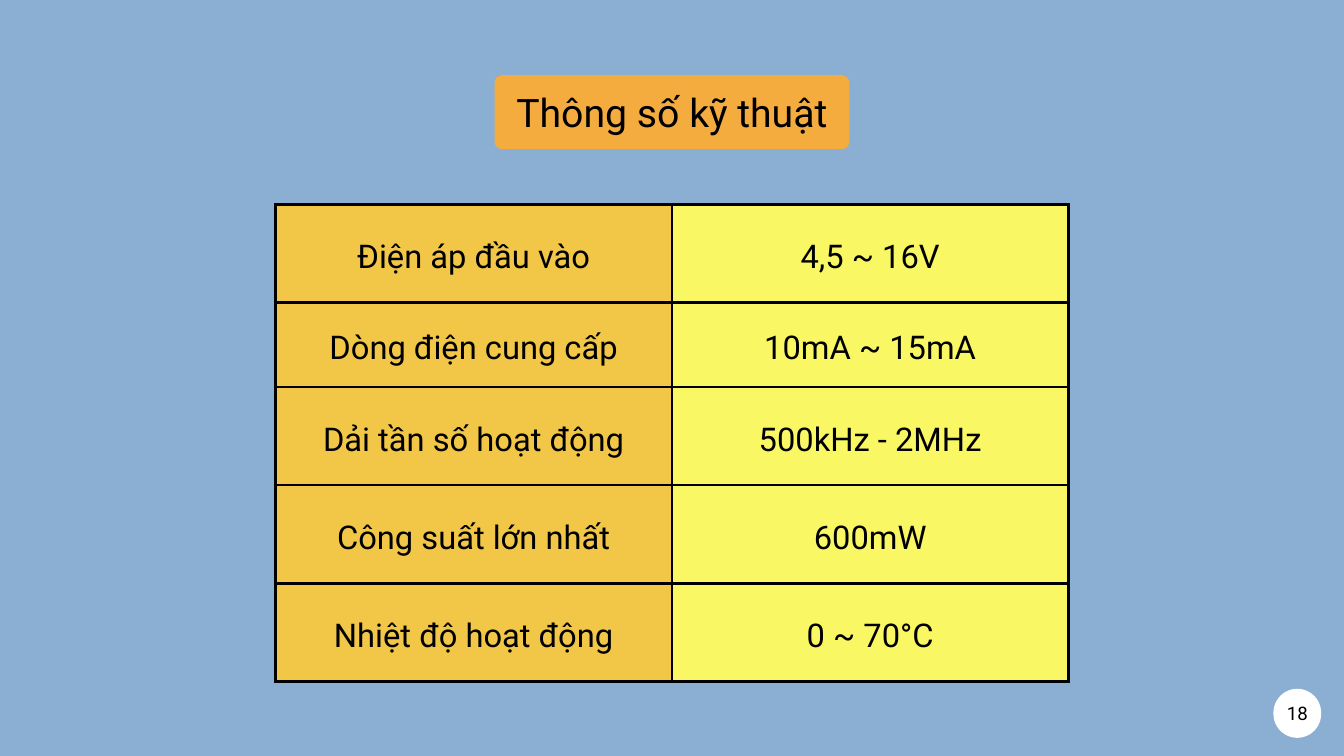
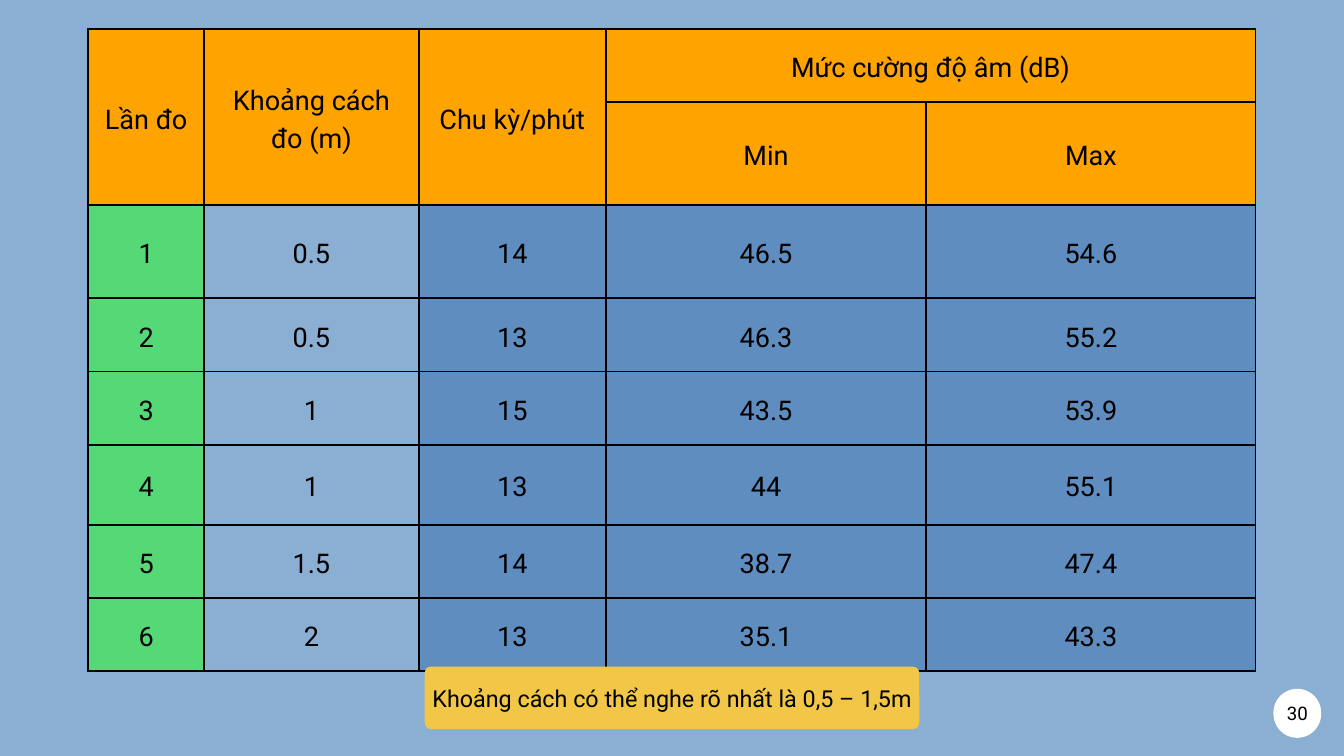
from lxml import etree
from pptx import Presentation, util as u
from pptx.dml.color import RGBColor
from pptx.enum import shapes, text
from pptx.oxml import ns

SKY = RGBColor(0x8B, 0xAE, 0xD3)
BLUE = RGBColor(0x5F, 0x8D, 0xC0)
GREEN = RGBColor(0x55, 0xD8, 0x76)
ORANGE = RGBColor(0xFF, 0xA3, 0x00)
APRICOT = RGBColor(0xF5, 0xAC, 0x3F)
GOLD = RGBColor(0xF2, 0xC7, 0x48)
LEMON = RGBColor(0xFA, 0xF7, 0x65)
WHITE = RGBColor(0xFF, 0xFF, 0xFF)
BLACK = RGBColor(0, 0, 0)
FONT = "Roboto"
WIDTH, HEIGHT = 20, 11.25

SPECIFICATIONS = {
    "rows": [
        ("Điện áp đầu vào", "4,5 ~ 16V"),
        ("Dòng điện cung cấp", "10mA ~ 15mA"),
        ("Dải tần số hoạt động", "500kHz - 2MHz"),
        ("Công suất lớn nhất", "600mW"),
        ("Nhiệt độ hoạt động", "0 ~ 70°C"),
    ],
    "top": 3.04, "widths": [5.9] * 2, "heights": [1.46, 1.26, 1.46, 1.46, 1.46],
    "fills": [GOLD, LEMON], "header_rows": 0, "merges": [],
    "size": 35, "margin": 0.21, "border": 3,
}
MEASUREMENTS = {
    "rows": [
        ("Lần đo", "Khoảng cách đo (m)", "Chu kỳ/phút", "Mức cường độ âm (dB)", ""),
        ("", "", "", "Min", "Max"),
        ("1", "0.5", "14", "46.5", "54.6"),
        ("2", "0.5", "13", "46.3", "55.2"),
        ("3", "1", "15", "43.5", "53.9"),
        ("4", "1", "13", "44", "55.1"),
        ("5", "1.5", "14", "38.7", "47.4"),
        ("6", "2", "13", "35.1", "43.3"),
    ],
    "top": 0.43, "widths": [1.72, 3.2, 2.78, 4.77, 4.9],
    "heights": [1.09, 1.09, 1.39, 1.09, 1.09, 1.19, 1.09, 1.09],
    "fills": [GREEN, SKY, BLUE, BLUE, BLUE], "header_rows": 2,
    "merges": [((0, 0), (1, 0)), ((0, 1), (1, 1)), ((0, 2), (1, 2)), ((0, 3), (0, 4))],
    "size": 29, "margin": 0.2, "border": 2.25,
}
TITLE = {"words": "Thông số kỹ thuật", "top": 1.12, "width": 5.28, "height": 1.1,
         "fill": APRICOT, "size": 42}
CAPTION = {"words": "Khoảng cách có thể nghe rõ nhất là 0,5 – 1,5m", "top": 9.92,
           "width": 7.36, "height": 0.93, "fill": GOLD, "size": 25}
BADGE = {"left": 18.95, "top": 10.25, "width": 0.71, "height": 0.73,
         "fill": WHITE, "size": 20, "rounding": 0.5}

PAGES = [(SPECIFICATIONS, TITLE, "18"), (MEASUREMENTS, CAPTION, "30")]


def write(frame, words, size, leading):
    para = frame.paragraphs[0]
    para.alignment = text.PP_ALIGN.CENTER
    para.line_spacing = u.Pt(round(size * leading, 1))
    span = para.add_run()
    span.text = words
    for name, value in {"name": FONT, "size": u.Pt(size)}.items():
        setattr(span.font, name, value)
    span.font.color.rgb = BLACK


def set_margins(target, margin):
    for side in ("left", "top", "right", "bottom"):
        setattr(target, f"margin_{side}", u.Inches(margin))


def add_label(page, words, top, width, height, fill, size, left=None, rounding=0.1):
    left = (WIDTH - width) / 2 if left is None else left
    box = page.shapes.add_shape(shapes.MSO_SHAPE.ROUNDED_RECTANGLE,
                                *map(u.Inches, (left, top, width, height)))
    box.adjustments[0] = rounding
    box.shadow.inherit = False
    box.fill.solid()
    box.fill.fore_color.rgb = fill
    box.line.fill.background()
    frame = box.text_frame
    set_margins(frame, 0)
    frame.word_wrap = False
    frame.vertical_anchor = text.MSO_ANCHOR.MIDDLE
    write(frame, words, size, 1.2)


def add_borders(cell, points):
    properties = cell._tc.get_or_add_tcPr()
    for position, side in enumerate(("lnL", "lnR", "lnT", "lnB")):
        line = etree.Element(ns.qn(f"a:{side}"), w=str(u.Pt(points)))
        solid = etree.SubElement(line, ns.qn("a:solidFill"))
        etree.SubElement(solid, ns.qn("a:srgbClr"), val=str(BLACK))
        properties.insert(position, line)


def add_grid(page, data):
    widths, heights = data["widths"], data["heights"]
    left = (WIDTH - sum(widths)) / 2
    area = map(u.Inches, (left, data["top"], sum(widths), sum(heights)))
    table = page.shapes.add_table(len(heights), len(widths), *area).table
    table.first_row = table.horz_banding = False
    for column, width in zip(table.columns, widths):
        column.width = u.Inches(width)
    for row, height in zip(table.rows, heights):
        row.height = u.Inches(height)
    for start, end in data["merges"]:
        table.cell(*start).merge(table.cell(*end))
    for r, words_in_row in enumerate(data["rows"]):
        for c, words in enumerate(words_in_row):
            cell = table.cell(r, c)
            set_margins(cell, data["margin"])
            cell.vertical_anchor = text.MSO_ANCHOR.MIDDLE
            cell.fill.solid()
            cell.fill.fore_color.rgb = ORANGE if r < data["header_rows"] else data["fills"][c]
            add_borders(cell, data["border"])
            if words:
                write(cell.text_frame, words, data["size"], 1.4)


def main():
    deck = Presentation()
    deck.slide_width, deck.slide_height = u.Inches(WIDTH), u.Inches(HEIGHT)
    for data, label, number in PAGES:
        page = deck.slides.add_slide(deck.slide_layouts[6])
        page.background.fill.solid()
        page.background.fill.fore_color.rgb = SKY
        add_grid(page, data)
        add_label(page, **label)
        add_label(page, number, **BADGE)
    deck.save("out.pptx")


if __name__ == "__main__":
    main()
